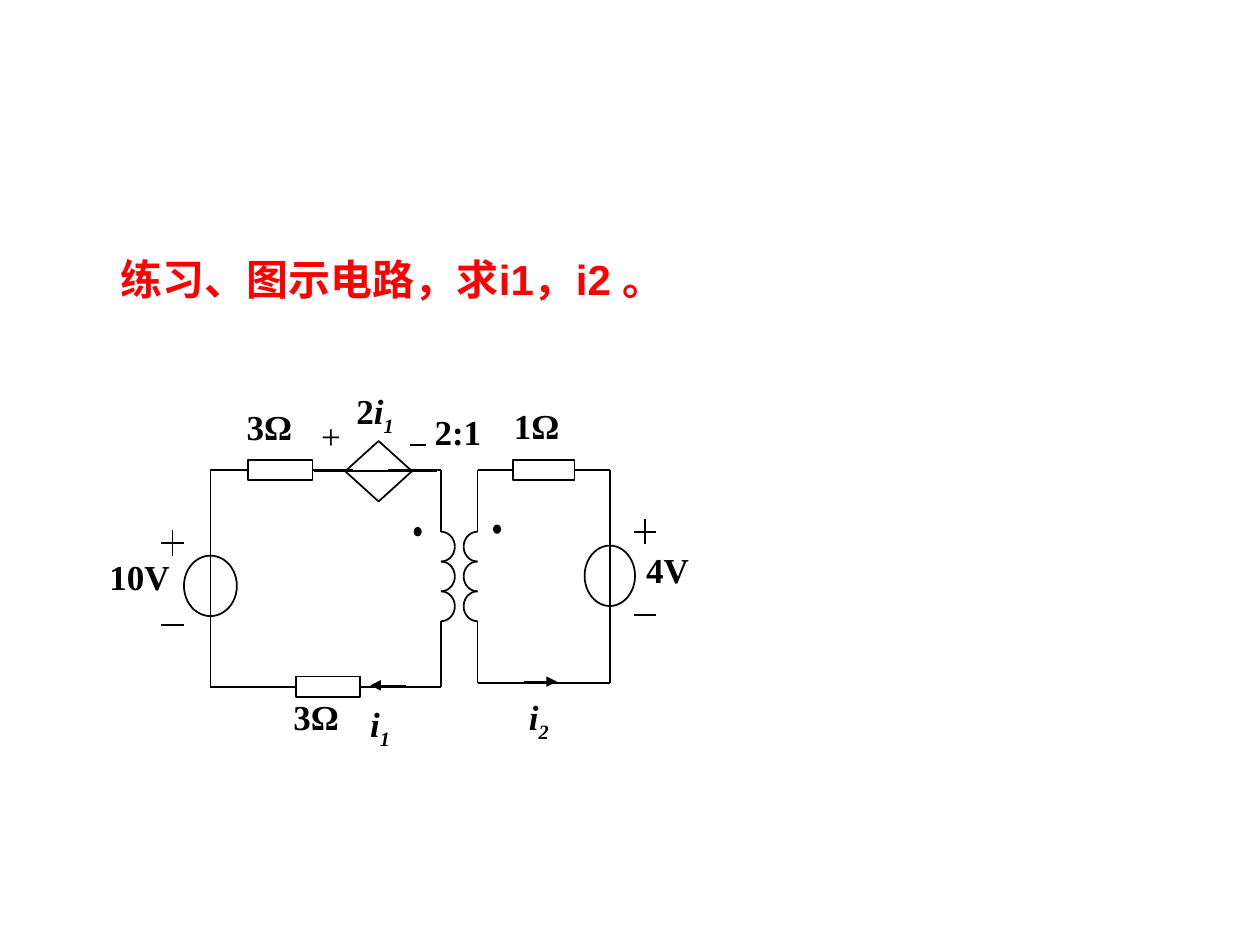
from math import cos, pi, sin

from lxml import etree
from pptx import Presentation
from pptx.dml.color import RGBColor
from pptx.enum.shapes import MSO_CONNECTOR, MSO_SHAPE
from pptx.enum.text import MSO_ANCHOR, MSO_AUTO_SIZE, PP_ALIGN
from pptx.oxml.ns import qn
from pptx.util import Inches, Pt

BLACK = RGBColor(0x00, 0x00, 0x00)
RED = RGBColor(0xFF, 0x00, 0x00)
STRAIGHT = MSO_CONNECTOR.STRAIGHT
RECTANGLE, DIAMOND = MSO_SHAPE.RECTANGLE, MSO_SHAPE.DIAMOND
OVAL, DOT = MSO_SHAPE.OVAL, MSO_SHAPE.FLOWCHART_CONNECTOR
LEFT, JUSTIFY = PP_ALIGN.LEFT, PP_ALIGN.JUSTIFY
MIDDLE = MSO_ANCHOR.MIDDLE
GROW = MSO_AUTO_SIZE.SHAPE_TO_FIT_TEXT
LEFT_SIDE, RIGHT_SIDE = 1, 3

presentation = Presentation()
presentation.slide_width = Inches(10)
presentation.slide_height = Inches(7.5)
slide = presentation.slides.add_slide(presentation.slide_layouts[5])
shapes = slide.shapes


def add_text(paragraph, text, font="Times New Roman", size=20, color=BLACK,
             bold=True, italic=False, subscript=False):
    run = paragraph.add_run()
    run.text = text
    run.font.name = font
    run.font.size = Pt(size)
    run.font.color.rgb = color
    run.font.bold = bold
    run.font.italic = italic
    if subscript:
        run._r.get_or_add_rPr().set("baseline", "-25000")


def add_wire(x1, y1, x2, y2, width=1, arrow=False):
    wire = shapes.add_connector(
        STRAIGHT, Inches(x1), Inches(y1), Inches(x2), Inches(y2))
    wire.line.color.rgb = BLACK
    wire.line.width = Pt(width)
    if arrow:
        etree.SubElement(wire.line._get_or_add_ln(), qn("a:tailEnd"), type="triangle")
    etree.SubElement(wire._element.spPr, qn("a:effectLst"))
    return wire


# Title
title = shapes.title
title.left, title.top = Inches(0.86), Inches(1.96)
title.width, title.height = Inches(5.66), Inches(0.5)
title.text_frame.vertical_anchor = MIDDLE
title.text_frame.auto_size = GROW
title_paragraph = title.text_frame.paragraphs[0]
title_paragraph.alignment = LEFT
add_text(title_paragraph, "练习、图示电路，求i1，i2 。", font="Arial", size=24, color=RED)

# Circuit rails
left_x, primary_x, secondary_x, right_x = 1.67, 3.5, 3.79, 4.84
top_y, bottom_y, secondary_bottom_y = 3.73, 5.45, 5.42
coil_top, coil_bottom = 4.22, 4.93

# Sources and winding dots
outlines = []
for kind, *box in (
    (DIAMOND, 2.74, 3.5, 0.53, 0.48),
    (OVAL, 1.46, 4.41, 0.42, 0.48),
    (OVAL, 4.64, 4.33, 0.4, 0.48),
    (DOT, 3.29, 4.19, 0.05, 0.06),
    (DOT, 3.92, 4.17, 0.05, 0.06),
):
    shape = shapes.add_shape(kind, *map(Inches, box))
    shape.fill.background()
    if kind == DOT:
        shape.fill.solid()
        shape.fill.fore_color.rgb = BLACK
    outlines.append(shape)

# Resistors, each joined to the wires on both sides
for left, width, y, start_x, end_x in (
    (1.97, 0.51, top_y, left_x, 2.8),
    (2.35, 0.51, bottom_y, 2.03, 3.17),
    (4.07, 0.49, top_y, secondary_x, right_x),
):
    resistor = shapes.add_shape(
        RECTANGLE, Inches(left), Inches(y - 0.08), Inches(width), Inches(0.16))
    resistor.fill.background()
    outlines.append(resistor)
    add_wire(start_x, y, left, y).end_connect(resistor, LEFT_SIDE)
    add_wire(left + width, y, end_x, y).begin_connect(resistor, RIGHT_SIDE)

# Transformer windings: three turns on each side, two quarter arcs a turn
turn_height, turn_width, steps = (coil_bottom - coil_top) / 3, 0.11, 12
for x, direction in ((primary_x, 1), (secondary_x, -1)):
    for quarter in range(6):
        turn, half = divmod(quarter, 2)
        center_y = coil_top + (turn + 0.5) * turn_height
        angles = [(half - 1 + step / steps) * pi / 2 for step in range(steps + 1)]
        points = [(Inches(x + direction * turn_width * cos(angle)),
                   Inches(center_y + turn_height / 2 * sin(angle))) for angle in angles]
        builder = shapes.build_freeform(*points[0])
        builder.add_line_segments(points[1:], close=False)
        arc = builder.convert_to_shape()
        arc.fill.background()
        outlines.append(arc)

for shape in outlines:
    shape.shadow.inherit = False
    shape.line.color.rgb = BLACK
    shape.line.width = Pt(1)

# Remaining wires
for ends in (
    # Through the dependent source
    (2.49, 3.74, 3.47, 3.74),
    (3.08, top_y, primary_x, top_y),
    # Left side
    (left_x, top_y, left_x, 4.2),
    (left_x, 4.04, left_x, 5.2),
    (left_x, 5.13, left_x, bottom_y),
    # Right side
    (right_x, top_y, right_x, 4.21),
    (right_x, 3.95, right_x, 5.12),
    (right_x, 4.96, right_x, secondary_bottom_y),
    # Bottom
    (left_x, bottom_y, 2.09, bottom_y),
    (2.94, bottom_y, primary_x, bottom_y),
    (secondary_x, secondary_bottom_y, 4.49, secondary_bottom_y),
    (4.15, secondary_bottom_y, right_x, secondary_bottom_y),
    # Winding leads
    (primary_x, top_y, primary_x, coil_top),
    (primary_x, coil_bottom, primary_x, bottom_y),
    (secondary_x, top_y, secondary_x, coil_top),
    (secondary_x, coil_bottom, secondary_x, secondary_bottom_y),
):
    add_wire(*ends)

# Current arrows
add_wire(3.22, 5.44, 2.94, 5.44, width=0.75, arrow=True)
add_wire(4.16, 5.41, 4.42, 5.41, width=0.75, arrow=True)

# Polarity signs
for x, plus_y, minus_y in ((1.37, 4.31, 4.96), (5.12, 4.22, 4.88)):
    add_wire(x - 0.09, plus_y, x + 0.09, plus_y)
    add_wire(x, plus_y - 0.1, x, plus_y + 0.1)
    add_wire(x - 0.09, minus_y, x + 0.09, minus_y)
add_wire(3.25, 3.53, 3.38, 3.53)

# Labels: left, top, width, height, then runs with their format
upright, italic, subscript = {}, {"italic": True}, {"italic": True, "subscript": True}
for left, top, width, height, runs in (
    (1.86, 3.17, 0.8, 0.51, [("3Ω", upright)]),
    (2.23, 5.47, 0.85, 0.51, [("3Ω", upright)]),
    (3.98, 3.16, 0.8, 0.51, [("1Ω", upright)]),
    (3.35, 3.21, 0.85, 0.51, [("2:1", upright)]),
    (0.77, 4.36, 0.85, 0.51, [("10V", upright)]),
    (5.03, 4.3, 0.73, 0.51, [("4V", upright)]),
    (2.45, 3.24, 0.67, 0.57, [("+", {"bold": False})]),
    (2.73, 3.04, 0.67, 0.51, [("2", upright), ("i", italic), ("1", subscript)]),
    (2.84, 5.53, 0.56, 0.57, [("i", italic), ("1", subscript)]),
    (4.1, 5.47, 0.56, 0.57, [("i", italic), ("2", subscript)]),
):
    label = shapes.add_textbox(Inches(left), Inches(top), Inches(width), Inches(height))
    label.text_frame.word_wrap = True
    paragraph = label.text_frame.paragraphs[0]
    paragraph.alignment = JUSTIFY
    for text, text_format in runs:
        add_text(paragraph, text, **text_format)

presentation.save("out.pptx")
